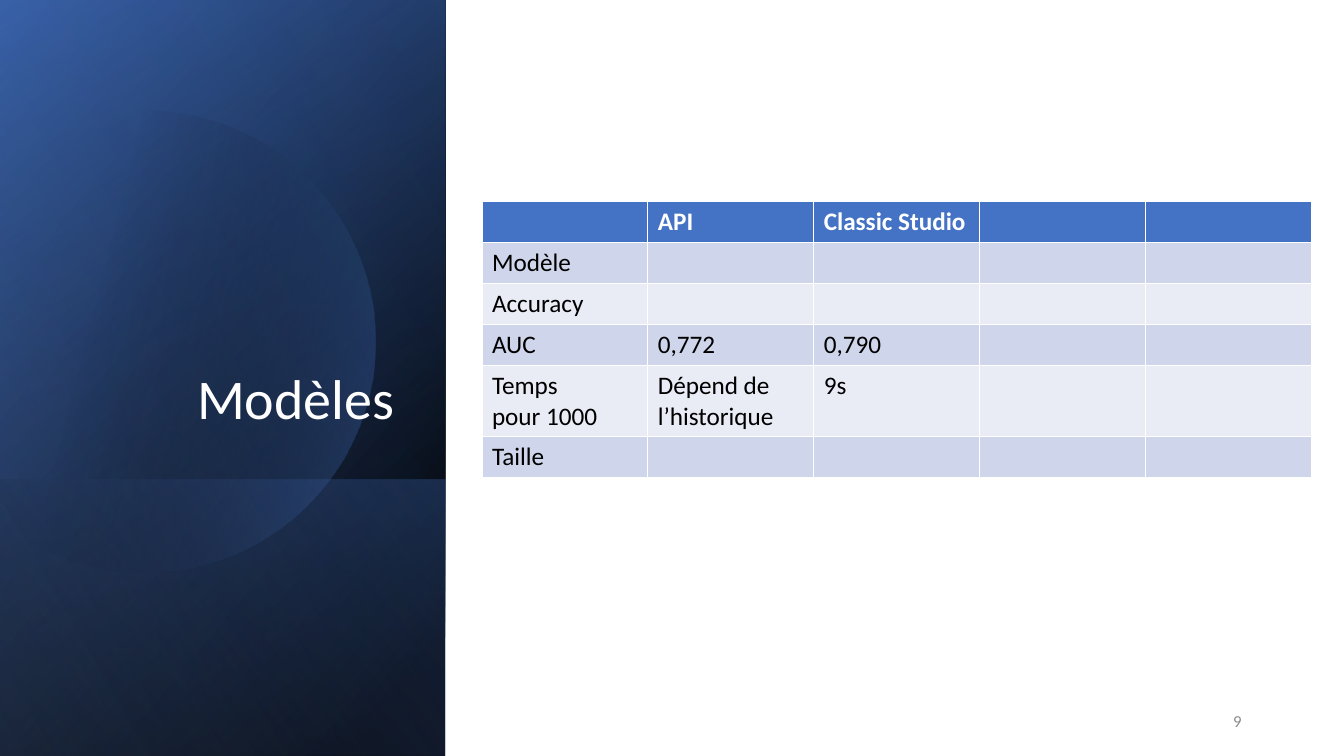
import math

import lxml.etree
import pptx
import pptx.dml.color
import pptx.enum.shapes
import pptx.enum.text
import pptx.oxml.ns
import pptx.util

EMU_PER_PX = 9525
SLIDE_WIDTH, SLIDE_HEIGHT = 1280, 720
PANEL_WIDTH = 424
FONT = "Calibri"
BLACK, WHITE, GREY = "000000", "FFFFFF", "8C8C8C"
NAVY, BLUE, PALE_BLUE = "2F5597", "4472C4", "8FAADC"
BAND_FILLS = "CFD5EA", "E9EBF5"

# Box, gradient angle (clockwise), stops of (position %, colour, opacity %)
LOWER_TOP = 457
PANELS_BEHIND_DISC = [
    ((0, 0, PANEL_WIDTH, SLIDE_HEIGHT), 220, [(8, BLACK, 100), (100, NAVY, 100)]),
    ((0, 0, PANEL_WIDTH, SLIDE_HEIGHT), 240, [(0, BLACK, 0), (99, BLUE, 46)]),
    ((0, LOWER_TOP, PANEL_WIDTH, SLIDE_HEIGHT - LOWER_TOP), 140,
     [(2, BLUE, 29), (100, BLACK, 30)]),
]
PANEL_OVER_DISC = ((0, 0, PANEL_WIDTH, SLIDE_HEIGHT), 150,
                   [(0, BLACK, 0), (99, PALE_BLUE, 11)])

MODEL_ROWS = [
    ["", "API", "Classic Studio", "", ""],
    ["Modèle", "", "", "", ""],
    ["Accuracy", "", "", "", ""],
    ["AUC", "0,772", "0,790", "", ""],
    ["Temps\vpour 1000", "Dépend de l’historique", "9s", "", ""],
    ["Taille", "", "", "", ""],
]
ROW_HEIGHTS = [39, 39, 39, 39, 68, 39]
COLUMN_WIDTH = 158


def px(length):
    return pptx.util.Emu(round(length * EMU_PER_PX))


def colour(hex_code):
    return pptx.dml.color.RGBColor.from_string(hex_code)


def format_text(text_frame, size, hex_code, bold=False, align=None):
    for paragraph in text_frame.paragraphs:
        paragraph.alignment = align
        for run in paragraph.runs:
            run.font.name = FONT
            run.font.size = pptx.util.Pt(size)
            run.font.bold = bold
            run.font.color.rgb = colour(hex_code)


def paint_gradient(shape, angle, stops):
    """Fill with a two-stop gradient, without outline or shadow."""
    shape.shadow.inherit = False
    shape.line.fill.background()
    shape.fill.gradient()
    shape.fill.gradient_angle = 360 - angle
    for stop, (position, hex_code, _) in zip(shape.fill.gradient_stops, stops):
        stop.position = position / 100
        stop.color.rgb = colour(hex_code)
    qn = pptx.oxml.ns.qn
    stop_colours = list(shape.element.spPr.iter(qn("a:srgbClr")))
    for node, (_, _, opacity) in zip(stop_colours, stops):
        lxml.etree.SubElement(node, qn("a:alpha"), val=str(opacity * 1000))


def add_panel(slide, box, angle, stops):
    panel = slide.shapes.add_shape(
        pptx.enum.shapes.MSO_SHAPE.RECTANGLE, *map(px, box))
    paint_gradient(panel, angle, stops)


def add_clipped_disc(slide, centre_x, centre_y, radius, angle, stops):
    """Draw a disc cut off by the left edge of the slide."""
    reach = math.acos(-centre_x / radius)
    steps = 120
    turns = [reach * (2 * step / steps - 1) for step in range(steps + 1)]
    points = [(px(centre_x + radius * math.cos(turn)),
               px(centre_y + radius * math.sin(turn))) for turn in turns]
    builder = slide.shapes.build_freeform(*points[0])
    builder.add_line_segments(points[1:], close=True)
    paint_gradient(builder.convert_to_shape(), angle, stops)


def place_title(slide, text):
    title = slide.shapes.title
    title.left, title.top, title.width, title.height = map(px, (49, 61, 336, 355))
    # The placeholder comes first in the tree; bring it above the panels.
    slide.shapes.element.append(title.element)
    frame = title.text_frame
    frame.text = text
    frame.word_wrap = True
    frame.vertical_anchor = pptx.enum.text.MSO_ANCHOR.BOTTOM
    frame.paragraphs[0].line_spacing = 0.9
    format_text(frame, 40, WHITE, align=pptx.enum.text.PP_ALIGN.RIGHT)


def add_model_table(slide, left, top):
    column_count = len(MODEL_ROWS[0])
    table = slide.shapes.add_table(
        len(MODEL_ROWS), column_count, px(left), px(top),
        px(COLUMN_WIDTH * column_count), px(sum(ROW_HEIGHTS))).table
    for column in table.columns:
        column.width = px(COLUMN_WIDTH)
    for index, (row, height, texts) in enumerate(
            zip(table.rows, ROW_HEIGHTS, MODEL_ROWS)):
        row.height = px(height)
        header = index == 0
        for cell, text in zip(row.cells, texts):
            cell.fill.solid()
            cell.fill.fore_color.rgb = colour(
                BLUE if header else BAND_FILLS[(index - 1) % 2])
            cell.text_frame.text = text
            format_text(cell.text_frame, 18, WHITE if header else BLACK, bold=header)


def add_page_number(slide, number):
    frame = slide.shapes.add_textbox(*map(px, (904, 667, 288, 38))).text_frame
    frame.word_wrap = True
    frame.vertical_anchor = pptx.enum.text.MSO_ANCHOR.MIDDLE
    frame.text = number
    format_text(frame, 12, GREY, align=pptx.enum.text.PP_ALIGN.RIGHT)


def main():
    presentation = pptx.Presentation()
    presentation.slide_width = px(SLIDE_WIDTH)
    presentation.slide_height = px(SLIDE_HEIGHT)
    slide = presentation.slides.add_slide(presentation.slide_layouts[5])
    for panel in PANELS_BEHIND_DISC:
        add_panel(slide, *panel)
    add_clipped_disc(slide, 138, 325, 220, 14, [(29, BLACK, 0), (100, BLUE, 43)])
    add_panel(slide, *PANEL_OVER_DISC)
    place_title(slide, "Modèles")
    add_model_table(slide, 459, 192)
    add_page_number(slide, "9")
    presentation.save("out.pptx")


if __name__ == "__main__":
    main()
